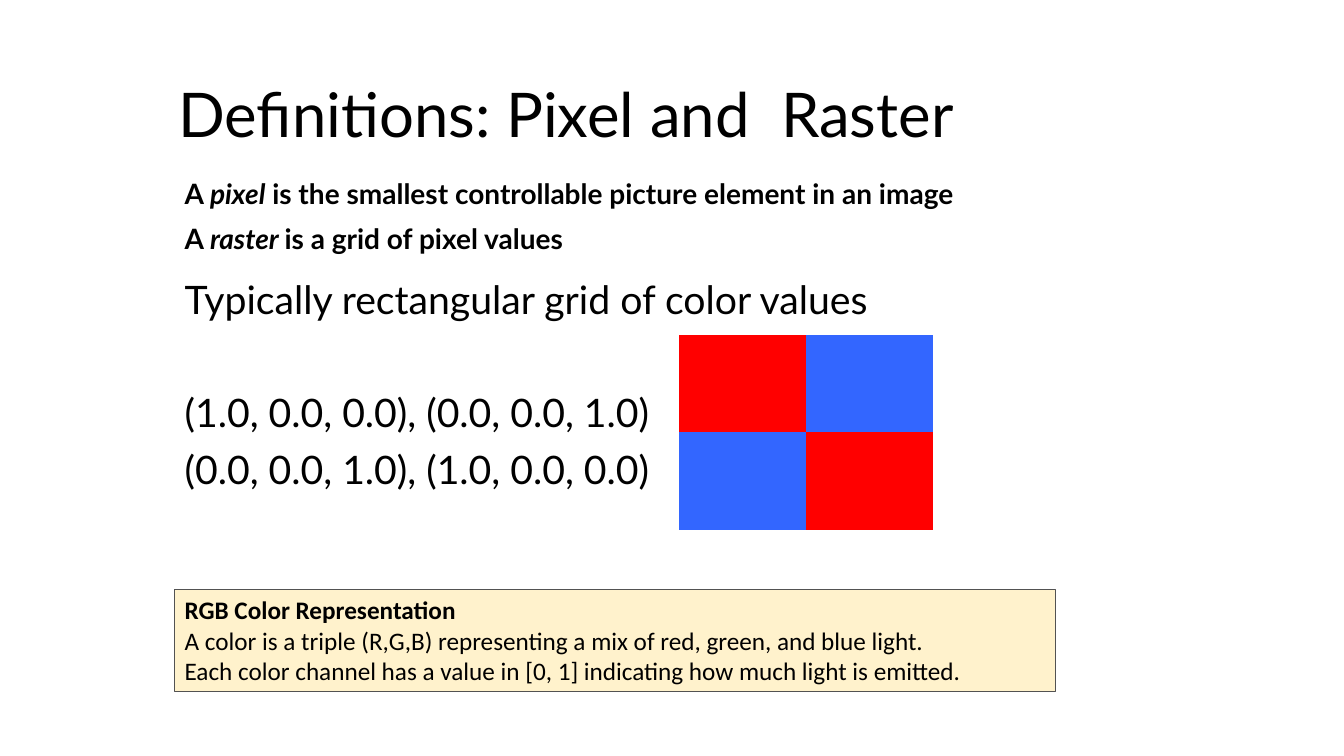
from pptx import Presentation, util as u
from pptx.dml.color import RGBColor
from pptx.enum import shapes, text

WIDTH, HEIGHT = u.Inches(13.33), u.Inches(7.5)
BLACK, RED, BLUE, CREAM, GREY = "000000", "FF0000", "3366FF", "FFF2CC", "525252"
NO_GRID_STYLE = "{2D5ABB26-0587-4C30-8999-92F81FD0307C}"


def color(hex_value):
    return RGBColor.from_string(hex_value)


def area(left, top, width, height):
    shares = (left, WIDTH), (top, HEIGHT), (width, WIDTH), (height, HEIGHT)
    return [round(percent * full / 100) for percent, full in shares]


def write(frame, lines, size, face="Lato", spacing=0.9, gaps=None, anchor=text.MSO_ANCHOR.TOP):
    frame.word_wrap = True
    frame.vertical_anchor = anchor
    for index, line in enumerate(lines):
        paragraph = frame.paragraphs[0] if index == 0 else frame.add_paragraph()
        paragraph.alignment = text.PP_ALIGN.LEFT
        paragraph.line_spacing = spacing
        paragraph.space_before = u.Pt(gaps[index] if gaps else 0)
        for words, bold, italic in line:
            run = paragraph.add_run()
            run.text = words
            run.font.name, run.font.size = face, u.Pt(size)
            run.font.bold, run.font.italic = bold, italic
            run.font.color.rgb = color(BLACK)


def plain(words):
    return [(words, False, False)]


def title(slide, box):
    heading = slide.shapes.title
    heading.left, heading.top, heading.width, heading.height = box
    write(heading.text_frame, [plain("Definitions: Pixel and  Raster")], 44,
          anchor=text.MSO_ANCHOR.MIDDLE)


def definitions(slide, box):
    frame = slide.shapes.add_textbox(*box).text_frame
    lines = [
        [("A ", True, False), ("pixel", True, True),
         (" is the smallest controllable picture element in an image", True, False)],
        [("A ", True, False), ("raster ", True, True),
         ("is a grid of pixel values", True, False)],
    ]
    write(frame, lines, 20, gaps=[0, 10], anchor=text.MSO_ANCHOR.BOTTOM)


def color_values(slide, box):
    frame = slide.shapes.add_textbox(*box).text_frame
    lines = ["Typically rectangular grid of color values",
             "(1.0, 0.0, 0.0), (0.0, 0.0, 1.0)",
             "(0.0, 0.0, 1.0), (1.0, 0.0, 0.0)"]
    write(frame, [plain(line) for line in lines], 28, gaps=[0, 50.5, 10])


def raster(slide, box):
    grid = slide.shapes.add_table(2, 2, *box).table
    properties = grid._tbl.tblPr
    properties[0].text = NO_GRID_STYLE
    grid.first_row = grid.horz_banding = False
    for row in range(2):
        for column in range(2):
            pixel = grid.cell(row, column)
            pixel.fill.solid()
            pixel.fill.fore_color.rgb = color(RED if row == column else BLUE)


def rgb_note(slide, box):
    note = slide.shapes.add_shape(shapes.MSO_SHAPE.RECTANGLE, *box)
    note.shadow.inherit = False
    note.fill.solid()
    note.fill.fore_color.rgb = color(CREAM)
    note.line.color.rgb = color(GREY)
    note.line.width = u.Pt(0.75)
    lines = [
        [("RGB Color Representation", True, False)],
        plain("A color is a triple (R,G,B) representing a mix of red, green, and blue light."),
        plain("Each color channel has a value in [0, 1] indicating how much light is emitted."),
    ]
    write(note.text_frame, lines, 18, face="Calibri", spacing=1.0)


def main():
    deck = Presentation()
    deck.slide_width, deck.slide_height = WIDTH, HEIGHT
    slide = deck.slides.add_slide(deck.slide_layouts[5])
    title(slide, area(12.5, 8.9, 73.1, 13.3))
    definitions(slide, area(13, 21.6, 74, 12.8))
    color_values(slide, area(13, 36.5, 57, 53.7))
    raster(slide, area(50.55, 44.25, 18.9, 25.9))
    rgb_note(slide, area(13, 78, 65.55, 13.5))
    deck.save("out.pptx")


if __name__ == "__main__":
    main()
